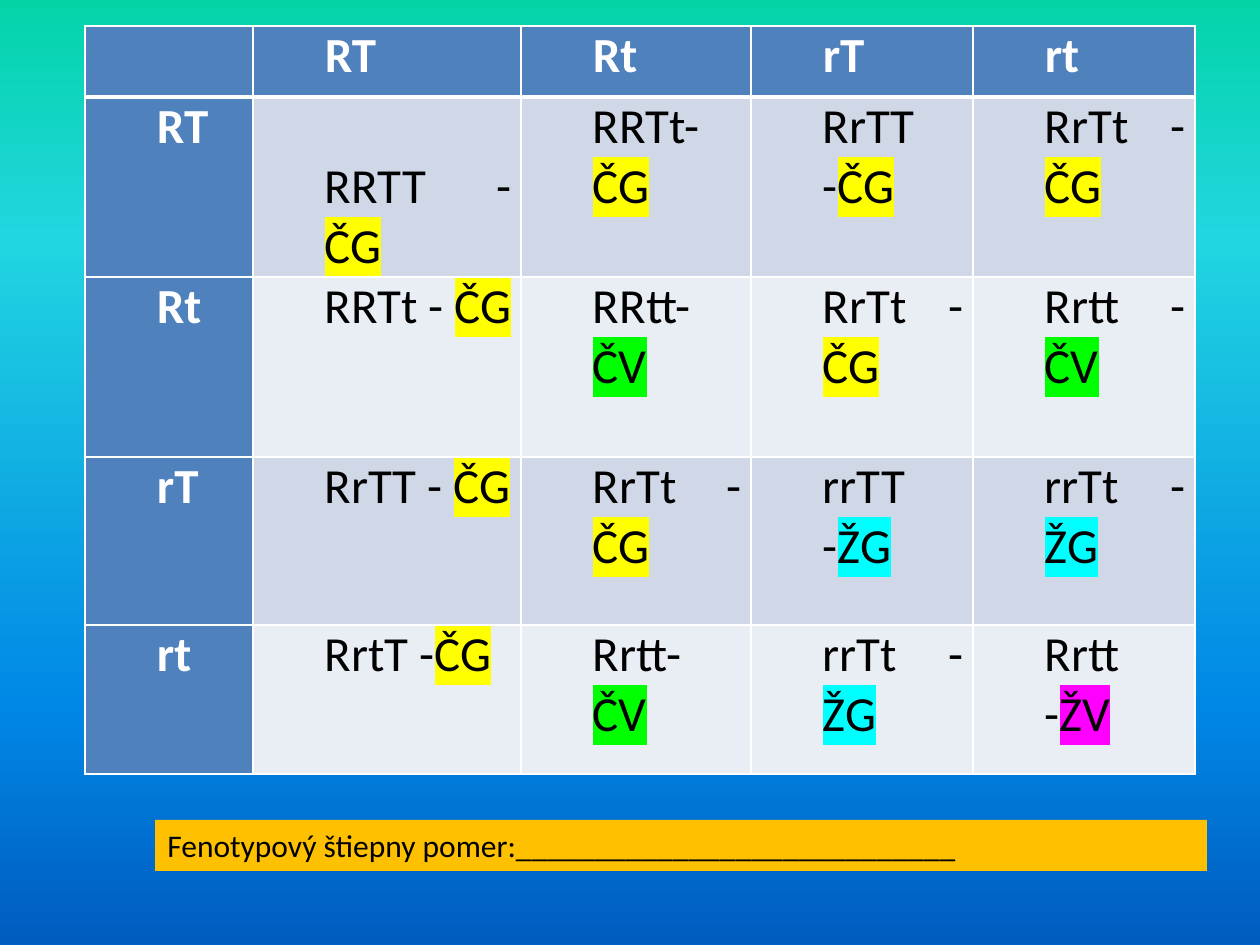
from dataclasses import dataclass
from typing import NamedTuple

from lxml.etree import SubElement
from pptx import Presentation
from pptx.dml.color import RGBColor
from pptx.enum.shapes import MSO_SHAPE as Shape
from pptx.enum.text import MSO_ANCHOR as Anchor, MSO_AUTO_SIZE as AutoSize, PP_ALIGN as Align
from pptx.oxml.ns import qn
from pptx.util import Emu, Pt

EMU_PER_PX = 914400 / 126


def px(length: int) -> Emu:
    return Emu(round(length * EMU_PER_PX))


@dataclass(frozen=True)
class Theme:
    font: str = "Calibri"
    cell_size: int = 28
    banner_size: int = 18
    ink: str = "000000"
    light: str = "FFFFFF"
    heading: str = "4F81BD"
    bands: tuple = ("D0D8E8", "E9EDF4")
    banner: str = "FFC000"
    sky: tuple = ((0, "03D4A8"), (25, "21D6E0"), (75, "0087E6"), (100, "005CBF"))


THEME = Theme()
PHENOTYPE_COLOURS = {"ČG": "FFFF00", "ČV": "00FF00", "ŽG": "00FFFF", "ŽV": "FF00FF"}


class Offspring(NamedTuple):
    genotype: str
    phenotype: str
    drop: int = 0


class Box(NamedTuple):
    left: int
    top: int
    width: int
    height: int


GAMETES = ("RT", "Rt", "rT", "rt")
CROSSES = (
    (Offspring("RRTT - ", "ČG", drop=60), Offspring("RRTt- ", "ČG"),
     Offspring("RrTT -", "ČG"), Offspring("RrTt - ", "ČG")),
    (Offspring("RRTt - ", "ČG"), Offspring("RRtt- ", "ČV"),
     Offspring("RrTt - ", "ČG"), Offspring("Rrtt - ", "ČV")),
    (Offspring("RrTT - ", "ČG"), Offspring("RrTt - ", "ČG"),
     Offspring("rrTT -", "ŽG"), Offspring("rrTt - ", "ŽG")),
    (Offspring("RrtT -", "ČG"), Offspring("Rrtt- ", "ČV"),
     Offspring("rrTt - ", "ŽG"), Offspring("Rrtt -", "ŽV")),
)
COLUMN_WIDTHS = (168, 268, 230, 222, 222)
ROW_HEIGHTS = (71, 180, 180, 168, 149)
SQUARE = Box(85, 26, sum(COLUMN_WIDTHS), sum(ROW_HEIGHTS))
BANNER = Box(155, 820, 1052, 51)
CELL_INDENT = 63
CELL_INSET = 9


def add_colour(parent, colour: str) -> None:
    SubElement(parent, qn("a:srgbClr"), val=colour)


def add_text(paragraph, text: str, *, size: int, colour: str = THEME.ink,
             bold: bool = False, highlight: str | None = None) -> None:
    run = paragraph.add_run()
    run.text = text
    font = run.font
    font.name, font.size, font.bold = THEME.font, Pt(size), bold
    font.color.rgb = RGBColor.from_string(colour)
    if highlight:
        properties = run._r.get_or_add_rPr()
        marker = SubElement(properties, qn("a:highlight"))
        add_colour(marker, highlight)
        properties.find(qn("a:solidFill")).addnext(marker)


def paint_sky(slide) -> None:
    fill = slide.background.fill
    fill.gradient()
    fill.gradient_angle = 270
    stops = next(slide.element.iter(qn("a:gsLst")))
    for old in list(stops):
        stops.remove(old)
    for percent, colour in THEME.sky:
        add_colour(SubElement(stops, qn("a:gs"), pos=str(percent * 1000)), colour)


def set_borders(cell, **widths: int) -> None:
    """Draw the cell's edges in white; widths are points by side, 1 by default."""
    properties = cell._tc.get_or_add_tcPr()
    for place, side in enumerate("LRTB"):
        width = Pt(widths.get(side, 1))
        line = SubElement(properties, qn(f"a:ln{side}"), w=str(width))
        add_colour(SubElement(line, qn("a:solidFill")), THEME.light)
        properties.insert(place, line)


def format_cell(cell, fill: str, drop: int = 0):
    """Fill and inset a cell, and return its indented first paragraph."""
    cell.fill.solid()
    cell.fill.fore_color.rgb = RGBColor.from_string(fill)
    cell.margin_left = cell.margin_right = px(CELL_INSET)
    cell.margin_top, cell.margin_bottom = px(drop), 0
    paragraph = cell.text_frame.paragraphs[0]
    paragraph.alignment = Align.JUSTIFY
    properties = paragraph._p.get_or_add_pPr()
    properties.set("marL", str(px(CELL_INDENT)))
    properties.set("indent", "0")
    return paragraph


def add_gamete(cell, gamete: str) -> None:
    add_text(format_cell(cell, THEME.heading), gamete, size=THEME.cell_size,
             colour=THEME.light, bold=True)


def add_offspring(cell, child: Offspring, fill: str) -> None:
    paragraph = format_cell(cell, fill, child.drop)
    add_text(paragraph, child.genotype, size=THEME.cell_size)
    add_text(paragraph, child.phenotype, size=THEME.cell_size,
             highlight=PHENOTYPE_COLOURS[child.phenotype])


def add_punnett_square(slide) -> None:
    table = slide.shapes.add_table(len(ROW_HEIGHTS), len(COLUMN_WIDTHS), *map(px, SQUARE)).table
    table.first_col = True
    table.horz_banding = False
    for column, width in zip(table.columns, COLUMN_WIDTHS):
        column.width = px(width)
    for row, height in zip(table.rows, ROW_HEIGHTS):
        row.height = px(height)

    format_cell(table.cell(0, 0), THEME.heading)
    for place, gamete in enumerate(GAMETES, start=1):
        add_gamete(table.cell(0, place), gamete)
        add_gamete(table.cell(place, 0), gamete)
    for row, children in enumerate(CROSSES, start=1):
        for column, child in enumerate(children, start=1):
            add_offspring(table.cell(row, column), child, THEME.bands[(row - 1) % 2])

    header_edges = {0: {"B": 3}, 1: {"T": 3}}
    for place, row in enumerate(table.rows):
        for cell in row.cells:
            set_borders(cell, **header_edges.get(place, {}))


def add_ratio_banner(slide) -> None:
    banner = slide.shapes.add_shape(Shape.RECTANGLE, *map(px, BANNER))
    banner.shadow.inherit = False
    banner.fill.solid()
    banner.fill.fore_color.rgb = RGBColor.from_string(THEME.banner)
    banner.line.fill.background()
    frame = banner.text_frame
    frame.word_wrap = True
    frame.auto_size = AutoSize.SHAPE_TO_FIT_TEXT
    frame.vertical_anchor = Anchor.TOP
    paragraph = frame.paragraphs[0]
    paragraph.alignment = Align.LEFT
    add_text(paragraph, "Fenotypový štiepny pomer:" + "_" * 28, size=THEME.banner_size)


def main() -> None:
    deck = Presentation()
    deck.slide_width, deck.slide_height = px(1260), px(945)
    slide = deck.slides.add_slide(deck.slide_layouts[6])
    paint_sky(slide)
    add_punnett_square(slide)
    add_ratio_banner(slide)
    deck.save("out.pptx")


if __name__ == "__main__":
    main()
